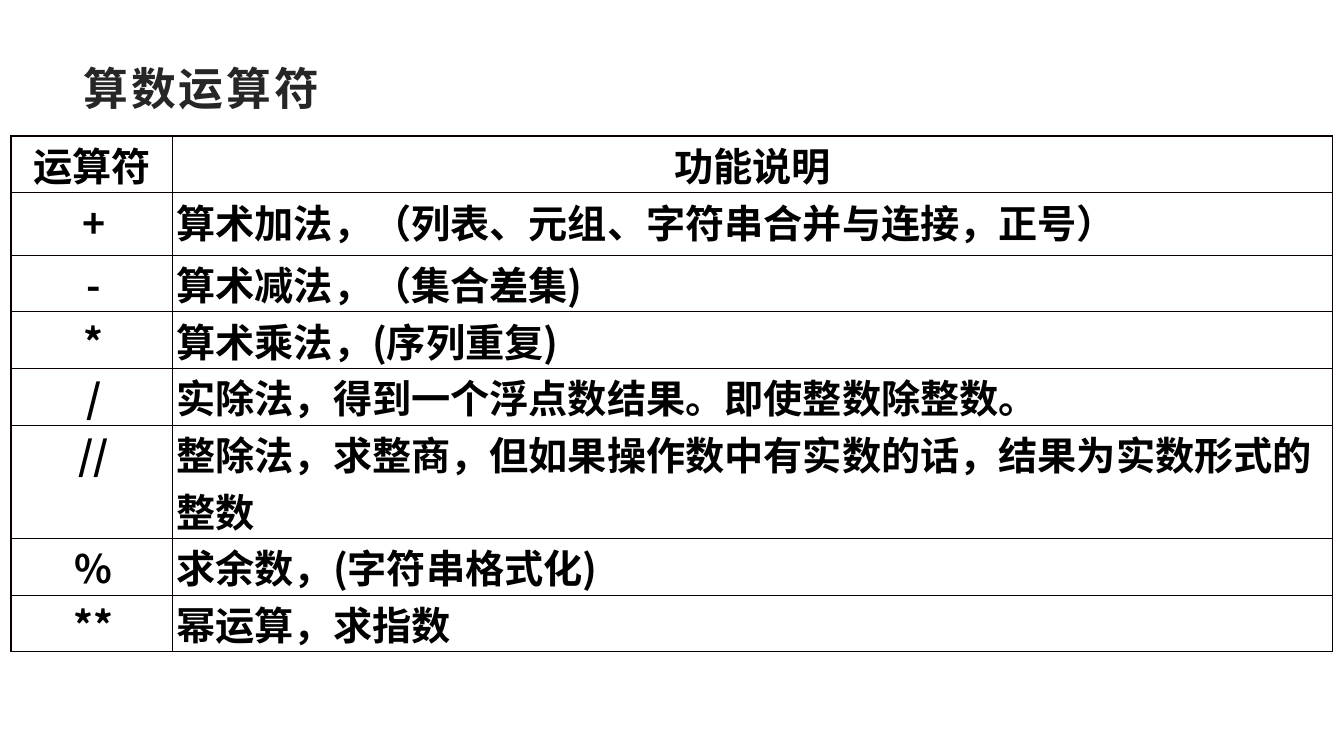
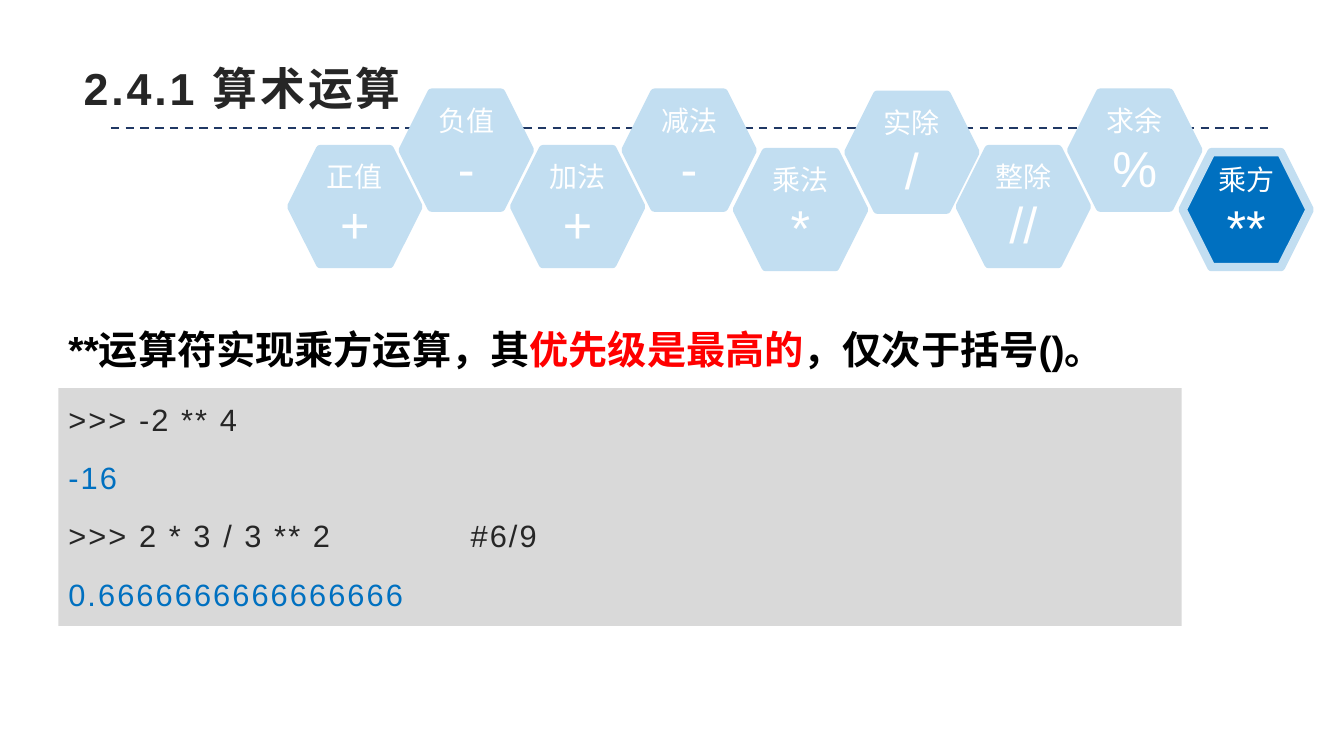
from lxml import etree
from pptx import Presentation
from pptx.dml.color import RGBColor
from pptx.enum.dml import MSO_LINE
from pptx.enum.shapes import MSO_CONNECTOR, MSO_SHAPE
from pptx.enum.text import MSO_ANCHOR, MSO_AUTO_SIZE, PP_ALIGN
from pptx.oxml.ns import qn
from pptx.util import Inches, Pt

DASH = MSO_LINE.DASH
STRAIGHT = MSO_CONNECTOR.STRAIGHT
HEXAGON, RECTANGLE = MSO_SHAPE.HEXAGON, MSO_SHAPE.RECTANGLE
TOP, MIDDLE = MSO_ANCHOR.TOP, MSO_ANCHOR.MIDDLE
FIT_SHAPE, NO_FIT = MSO_AUTO_SIZE.SHAPE_TO_FIT_TEXT, MSO_AUTO_SIZE.NONE
LEFT, CENTER = PP_ALIGN.LEFT, PP_ALIGN.CENTER

COLORS = {
    "ink": "262626", "black": "000000", "white": "FFFFFF", "red": "FF0000",
    "blue": "0070C0", "pale": "C2DEF1", "navy": "203864", "panel": "D9D9D9",
    "grid": "080000",
}
BODY_FONT, TABLE_FONT = "Arial", "Noto Sans CJK SC"
TITLE_ONLY = 5

OPERATOR_ROWS = [
    ("运算符", "功能说明", 0.53),
    ("+", "算术加法，（列表、元组、字符串合并与连接，正号）", 0.62),
    ("-", "算术减法，（集合差集)", 0.53),
    ("*", "算术乘法，(序列重复)", 0.53),
    ("/", "实除法，得到一个浮点数结果。即使整数除整数。", 0.53),
    ("//", "整除法，求整商，但如果操作数中有实数的话，结果为实数形式的整数", 0.94),
    ("%", "求余数，(字符串格式化)", 0.53),
    ("**", "幂运算，求指数", 0.53),
]
# Name, operator and drop below the top of the band
OPERATIONS = [
    ("正值", "+", 0.56), ("负值", "-", 0), ("加法", "+", 0.56),
    ("减法", "-", 0), ("乘法", "*", 0.59), ("实除", "/", 0.02),
    ("整除", "//", 0.56), ("求余", "%", 0), ("乘方", "**", 0.59),
]
CODE_LINES = [
    (">>> -2 ** 4", "ink"),
    ("-16", "blue"),
    (">>> 2 * 3 / 3 ** 2\t#6/9", "ink"),
    ("0.6666666666666666", "blue"),
]
STATEMENT = [
    ("**运算符实现乘方运算，其", "black"),
    ("优先级是最高的", "red"),
    ("，仅次于括号()。", "black"),
]


def rgb(name):
    return RGBColor.from_string(COLORS[name])


def inches(*values):
    return [Inches(value) for value in values]


def format_run(run, size, color, bold=False, font=BODY_FONT, spacing=0):
    """Format Latin and East Asian text alike; spacing is in points."""
    run.font.size = Pt(size)
    run.font.bold = bold
    run.font.color.rgb = rgb(color)
    run.font.name = font
    properties = run.font._element
    etree.SubElement(properties, qn("a:ea")).set("typeface", font)
    if spacing:
        properties.set("spc", str(round(spacing * 100)))


def set_margins(target, left, top, right, bottom):
    target.margin_left, target.margin_top = inches(left, top)
    target.margin_right, target.margin_bottom = inches(right, bottom)


def add_titled_slide(prs, heading):
    slide = prs.slides.add_slide(prs.slide_layouts[TITLE_ONLY])
    title = slide.shapes.title
    title.left, title.top, title.width, title.height = inches(0.73, 0.48, 11.87, 0.78)
    frame = title.text_frame
    frame.text = heading
    frame.auto_size = NO_FIT
    frame.vertical_anchor = MIDDLE
    set_margins(frame, 0.1, 0.05, 0.1, 0.05)
    frame.paragraphs[0].alignment = LEFT
    format_run(frame.paragraphs[0].runs[0], 32, "ink", bold=True, spacing=2)
    return slide


def set_borders(cell, color, width):
    properties = cell._tc.get_or_add_tcPr()
    for index, side in enumerate(("a:lnL", "a:lnR", "a:lnT", "a:lnB")):
        line = etree.Element(qn(side), w=str(Pt(width)))
        fill = etree.SubElement(line, qn("a:solidFill"))
        etree.SubElement(fill, qn("a:srgbClr"), val=COLORS[color])
        properties.insert(index, line)


def add_operator_table(slide, left, top, widths):
    height = sum(row[-1] for row in OPERATOR_ROWS)
    table = slide.shapes.add_table(
        len(OPERATOR_ROWS), len(widths), *inches(left, top, sum(widths), height)
    ).table
    table.first_row = table.horz_banding = False
    for column, width in zip(table.columns, widths):
        column.width = Inches(width)
    for row_index, (*texts, row_height) in enumerate(OPERATOR_ROWS):
        table.rows[row_index].height = Inches(row_height)
        for column_index, text in enumerate(texts):
            cell = table.cell(row_index, column_index)
            cell.fill.background()
            set_borders(cell, "grid", 1)
            set_margins(cell, 0.04 if row_index else 0, 0, 0, 0)
            paragraph = cell.text_frame.paragraphs[0]
            paragraph.text = text
            centered = row_index == 0 or column_index == 0
            paragraph.alignment = CENTER if centered else LEFT
            format_run(paragraph.runs[0], 28, "black", bold=True, font=TABLE_FONT)


def add_dashed_rule(slide, left, right, y):
    rule = slide.shapes.add_connector(STRAIGHT, *inches(left, y, right, y))
    rule.line.color.rgb = rgb("navy")
    rule.line.width = Pt(1.5)
    rule.line.dash_style = DASH
    etree.SubElement(rule._element.spPr, qn("a:effectLst"))


def add_hexagon(slide, left, top, name, symbol, selected):
    hexagon = slide.shapes.add_shape(HEXAGON, *inches(left, top, 1.26, 1.14))
    hexagon.shadow.inherit = False
    hexagon.fill.solid()
    hexagon.fill.fore_color.rgb = rgb("blue" if selected else "pale")
    hexagon.line.color.rgb = rgb("pale")
    hexagon.line.width = Pt(6)
    frame = hexagon.text_frame
    frame.text = f"{name}\n{symbol}"
    frame.vertical_anchor = MIDDLE
    set_margins(frame, 0, 0, 0, 0)
    for paragraph, size in zip(frame.paragraphs, (20, 36)):
        paragraph.alignment = CENTER
        format_run(paragraph.runs[0], size, "white")


def add_operation_band(slide, left, top, pitch, selected):
    for index, (name, symbol, drop) in enumerate(OPERATIONS):
        add_hexagon(slide, left + index * pitch, top + drop, name, symbol,
                    name == selected)


def add_statement(slide, left, top, width, height):
    box = slide.shapes.add_textbox(*inches(left, top, width, height))
    frame = box.text_frame
    frame.word_wrap = True
    frame.auto_size = FIT_SHAPE
    for text, color in STATEMENT:
        run = frame.paragraphs[0].add_run()
        run.text = text
        format_run(run, 28, color, bold=True)


def add_code_panel(slide, left, top, width, height, comment_tab):
    panel = slide.shapes.add_shape(RECTANGLE, *inches(left, top, width, height))
    panel.shadow.inherit = False
    panel.fill.solid()
    panel.fill.fore_color.rgb = rgb("panel")
    panel.line.fill.background()
    frame = panel.text_frame
    frame.text = "\n".join(text for text, _ in CODE_LINES)
    frame.vertical_anchor = TOP
    set_margins(frame, 0.1, 0.05, 0.1, 0.05)
    for paragraph, (text, color) in zip(frame.paragraphs, CODE_LINES):
        paragraph.alignment = LEFT
        paragraph.line_spacing = 1.2
        paragraph.space_after = Pt(10)
        if "\t" in text:
            tabs = etree.SubElement(paragraph._p.get_or_add_pPr(), qn("a:tabLst"))
            etree.SubElement(tabs, qn("a:tab"), pos=str(Inches(comment_tab)), algn="l")
        format_run(paragraph.runs[0], 22, color, spacing=1.5)


def build_operator_slide(prs):
    slide = add_titled_slide(prs, "算数运算符")
    add_operator_table(slide, 0.11, 1.35, (1.6, 11.51))


def build_power_slide(prs):
    slide = add_titled_slide(prs, "2.4.1 算术运算")
    add_dashed_rule(slide, 1.1, 12.63, 1.27)
    add_operation_band(slide, 2.89, 0.92, 1.105, selected="乘方")
    add_code_panel(slide, 0.58, 3.85, 11.14, 2.36, comment_tab=3.99)
    add_statement(slide, 0.58, 3.18, 12.02, 0.57)


def main():
    prs = Presentation()
    prs.slide_width, prs.slide_height = inches(13.33, 7.5)
    build_operator_slide(prs)
    build_power_slide(prs)
    prs.save("out.pptx")


if __name__ == "__main__":
    main()
